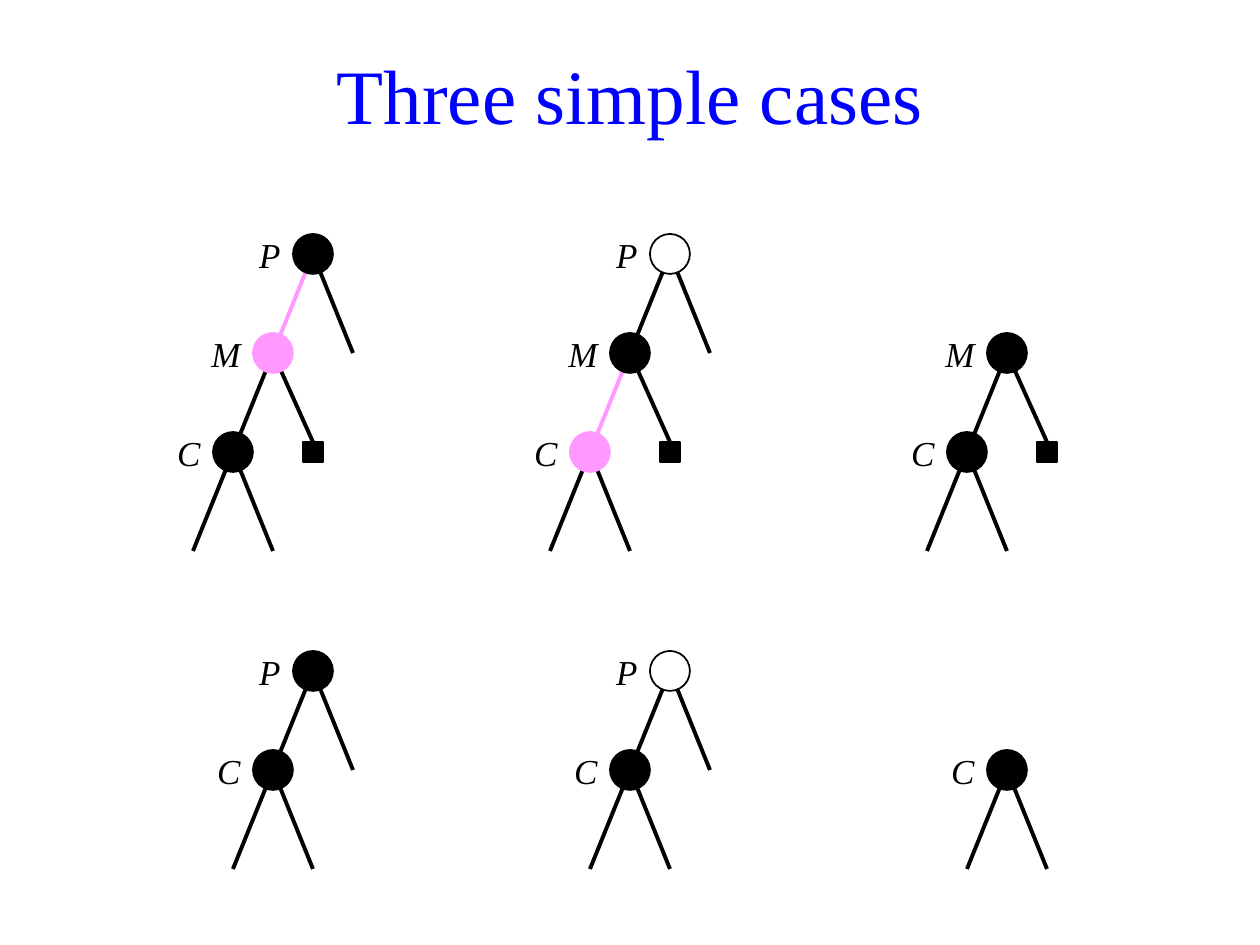
"""Build a slide of tree diagrams showing three simple cases of node removal."""
from lxml import etree
from pptx import Presentation
from pptx.dml.color import RGBColor
from pptx.enum.shapes import MSO_CONNECTOR, MSO_SHAPE
from pptx.enum.text import MSO_ANCHOR, PP_ALIGN
from pptx.oxml.ns import qn
from pptx.util import Emu, Pt

STRAIGHT = MSO_CONNECTOR.STRAIGHT
OVAL, SQUARE = MSO_SHAPE.OVAL, MSO_SHAPE.RECTANGLE
MIDDLE = MSO_ANCHOR.MIDDLE
CENTER, RIGHT = PP_ALIGN.CENTER, PP_ALIGN.RIGHT

THEME = {
    "font": "Times New Roman", "title_size": 44, "label_size": 20,
    "title": "0000FF", "black": "000000", "red": "FF99FF", "white": "FFFFFF",
    "edge_width": 2.25, "outline_width": 1,
}
TITLE = "Three simple cases"
TREES = [
    (313, 254, [("P", "black"), ("M", "red"), ("C", "black")]),
    (670, 254, [("P", "white"), ("M", "black"), ("C", "red")]),
    (1007, 353, [("M", "black"), ("C", "black")]),
    (313, 671, [("P", "black"), ("C", "black")]),
    (670, 671, [("P", "white"), ("C", "black")]),
    (1007, 770, [("C", "black")]),
]
STEP_X, STEP_Y = 40, 99
NODE, LEAF = 40, 20
LABEL_WIDTH, LABEL_HEIGHT = 59, 79
SCALE = 914400 / 126


def px(*lengths):
    return [Emu(round(length * SCALE)) for length in lengths]


def color(name):
    return RGBColor.from_string(THEME[name])


def add_text(page, text, area, *, size, align, ink="black", italic=False):
    box = page.shapes.add_textbox(*px(*area))
    frame = box.text_frame
    frame.word_wrap = True
    frame.vertical_anchor = MIDDLE
    para = frame.paragraphs[0]
    para.alignment = align
    span = para.add_run()
    span.text = text
    span.font.name = THEME["font"]
    span.font.size = Pt(THEME[size])
    span.font.italic = italic
    span.font.color.rgb = color(ink)


def add_edge(page, start, end, ink="black"):
    edge = page.shapes.add_connector(STRAIGHT, *px(*start, *end))
    edge.line.color.rgb = color(ink)
    edge.line.width = Pt(THEME["edge_width"])
    etree.SubElement(edge._element.spPr, qn("a:effectLst"))


def add_mark(page, kind, x, y, size, fill):
    mark = page.shapes.add_shape(kind, *px(x - size / 2, y - size / 2, size, size))
    mark.shadow.inherit = False
    mark.fill.solid()
    mark.fill.fore_color.rgb = color(fill)
    mark.line.color.rgb = color("black" if fill == "white" else fill)
    mark.line.width = Pt(THEME["outline_width"])


def add_tree(page, root_x, root_y, nodes):
    spots = [(root_x - STEP_X * level, root_y + STEP_Y * level, label, fill)
             for level, (label, fill) in enumerate(nodes)]
    child_fills = [fill for _, fill in nodes[1:]] + ["black"]
    for (x, y, label, _), child_fill in zip(spots, child_fills):
        below = y + STEP_Y
        edge_ink = "red" if child_fill == "red" else "black"
        add_edge(page, (x, y), (x - STEP_X, below), edge_ink)
        right_end = below - LEAF / 2 if label == "M" else below
        add_edge(page, (x, y), (x + STEP_X, right_end))
        if label == "M":
            add_mark(page, SQUARE, x + STEP_X, below, LEAF, "black")
    for x, y, label, fill in spots:
        add_mark(page, OVAL, x, y, NODE, fill)
        area = (x - NODE / 2 - LABEL_WIDTH, y - LABEL_HEIGHT / 2, LABEL_WIDTH, LABEL_HEIGHT)
        add_text(page, label, area, size="label_size", align=RIGHT, italic=True)


deck = Presentation()
deck.slide_width, deck.slide_height = px(1260, 945)
page = deck.slides.add_slide(deck.slide_layouts[6])
add_text(page, TITLE, (54, 35, 1152, 118), size="title_size", align=CENTER, ink="title")
for tree in TREES:
    add_tree(page, *tree)
deck.save("out.pptx")
